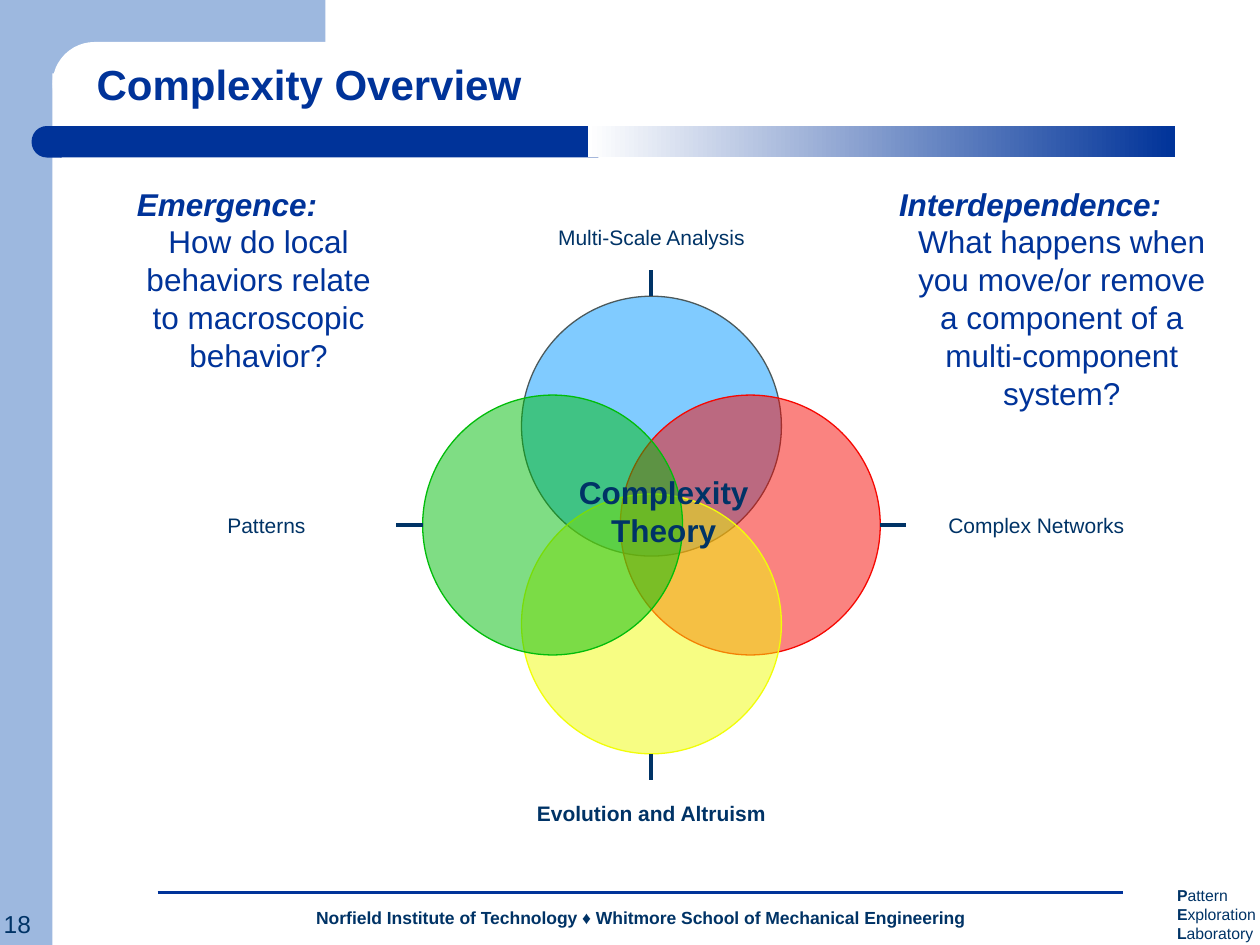
from lxml.etree import SubElement
from pptx import Presentation
from pptx.dml.color import RGBColor
from pptx.enum.shapes import MSO_CONNECTOR, MSO_SHAPE
from pptx.enum.text import MSO_ANCHOR, MSO_AUTO_SIZE, PP_ALIGN
from pptx.oxml.ns import qn
from pptx.util import Pt

PALE_BLUE = RGBColor(0x9D, 0xB8, 0xDF)
ROYAL = RGBColor(0x00, 0x33, 0x99)
NAVY = RGBColor(0x00, 0x33, 0x66)
WHITE = RGBColor(0xFF, 0xFF, 0xFF)
SKY = RGBColor(0x03, 0x99, 0xFF)
SLATE = RGBColor(0x4B, 0x59, 0x5B)
RED = RGBColor(0xF6, 0x08, 0x02)
YELLOW = RGBColor(0xF1, 0xFD, 0x09)
GREEN = RGBColor(0x01, 0xBD, 0x0A)

deck = Presentation()
deck.slide_width, deck.slide_height = Pt(720), Pt(540)
page = deck.slides.add_slide(deck.slide_layouts[5])


def add_text(bounds, text, size, color=NAVY, bold=False, align=PP_ALIGN.LEFT):
    """Add a wrapping text box with one paragraph and return the box."""
    box = page.shapes.add_textbox(*map(Pt, bounds))
    box.text_frame.word_wrap = True
    para = box.text_frame.paragraphs[0]
    para.text, para.alignment = text, align
    font = para.font
    font.name, font.size, font.bold = "Arial", Pt(size), bold
    font.color.rgb = color
    return box


def add_line(start, end, color):
    line = page.shapes.add_connector(MSO_CONNECTOR.STRAIGHT, *map(Pt, start + end))
    line.line.color.rgb, line.line.width = color, Pt(2.25)
    SubElement(line.element.spPr, qn("a:effectLst"))
    return line


# Frame and title bar
for kind, bounds, color in [
    (MSO_SHAPE.RECTANGLE, (0, 0, 30, 540), PALE_BLUE),
    (MSO_SHAPE.RECTANGLE, (24, 0, 162, 42), PALE_BLUE),
    (MSO_SHAPE.ROUNDED_RECTANGLE, (30, 24, 420, 48), WHITE),
    (MSO_SHAPE.RECTANGLE, (34.5, 72, 307.5, 18), ROYAL),
    (MSO_SHAPE.FLOWCHART_DELAY, (18, 72, 17.25, 18), ROYAL),
    (MSO_SHAPE.RECTANGLE, (336, 72, 335.5, 18), None),
]:
    part = page.shapes.add_shape(kind, *map(Pt, bounds))
    part.shadow.inherit = False
    part.line.fill.background()
    if kind == MSO_SHAPE.ROUNDED_RECTANGLE:
        part.adjustments[0] = 0.5
    if kind == MSO_SHAPE.FLOWCHART_DELAY:
        part.rotation = 180
    if color is not None:
        part.fill.solid()
        part.fill.fore_color.rgb = color
    else:
        part.fill.gradient()
        part.fill.gradient_angle = 0
        for stop, shade in zip(part.fill.gradient_stops, (WHITE, ROYAL)):
            stop.color.rgb = shade

# Title, in front of the frame
title = page.shapes.title
page.shapes.element.append(title.element)
title.left, title.top, title.width, title.height = map(Pt, (48, 24, 630, 42))
title.text = "Complexity Overview"
title.text_frame.auto_size = MSO_AUTO_SIZE.NONE
title.text_frame.vertical_anchor = MSO_ANCHOR.BOTTOM
heading = title.text_frame.paragraphs[0]
heading.alignment, heading.line_spacing = PP_ALIGN.LEFT, 0.9
heading.font.name, heading.font.size, heading.font.bold = "Arial", Pt(24), True
heading.font.color.rgb = ROYAL

# Footer
add_line((90, 510), (642, 510), ROYAL)
footer = add_text((66, 516, 600, 18),
                  "Norfield Institute of Technology ♦ Whitmore School of Mechanical Engineering",
                  10, bold=True, align=PP_ALIGN.CENTER)
footer.text_frame.paragraphs[0].line_spacing = 0.9
add_text((-5, 516, 35, 24.5), "18", 14)
lab = add_text((665.5, 502.5, 65, 40), "", 9)
for initial, rest in [("P", "attern "), ("E", "xploration "), ("L", "aboratory")]:
    for text, bold in [(initial, True), (rest, False)]:
        span = lab.text_frame.paragraphs[0].add_run()
        span.text, span.font.bold = text, bold

# Four overlapping circles around a centre, each with a spoke to its label
CENTER_X, CENTER_Y = 372.25, 300
DIAMETER, OFFSET, SPOKE = 148.5, 56.5, 15
LABEL_WIDTH, LABEL_HEIGHT = DIAMETER, 37.5
RIM = OFFSET + DIAMETER / 2
for label, dx, dy, fill, outline, bold, side in [
    ("Multi-Scale Analysis", 0, -1, SKY, SLATE, False, 2),
    ("Complex Networks", 1, 0, RED, RED, False, 1),
    ("Evolution and Altruism", 0, 1, YELLOW, YELLOW, True, 0),
    ("Patterns", -1, 0, GREEN, GREEN, False, 3),
]:
    circle = page.shapes.add_shape(
        MSO_SHAPE.OVAL,
        Pt(CENTER_X + dx * OFFSET - DIAMETER / 2),
        Pt(CENTER_Y + dy * OFFSET - DIAMETER / 2),
        Pt(DIAMETER), Pt(DIAMETER))
    circle.shadow.inherit = False
    circle.fill.solid()
    circle.fill.fore_color.rgb = fill
    tint = circle.element.spPr.find(qn("a:solidFill"))[0]
    SubElement(tint, qn("a:alpha")).set("val", "50000")
    circle.line.color.rgb, circle.line.width = outline, Pt(0.75)

    label_x = CENTER_X + dx * (RIM + SPOKE + LABEL_WIDTH / 2)
    label_y = CENTER_Y + dy * (RIM + SPOKE + LABEL_HEIGHT / 2)
    box = add_text((label_x - LABEL_WIDTH / 2, label_y - LABEL_HEIGHT / 2,
                    LABEL_WIDTH, LABEL_HEIGHT),
                   label, 12, bold=bold, align=PP_ALIGN.CENTER)
    frame = box.text_frame
    frame.margin_left = frame.margin_right = frame.margin_top = frame.margin_bottom = 0
    frame.vertical_anchor = MSO_ANCHOR.MIDDLE

    spoke = add_line((CENTER_X + dx * RIM, CENTER_Y + dy * RIM),
                     (CENTER_X + dx * (RIM + SPOKE), CENTER_Y + dy * (RIM + SPOKE)), NAVY)
    spoke.end_connect(box, side)

add_text((312, 267, 134.5, 50.5), "Complexity Theory", 18, bold=True, align=PP_ALIGN.CENTER)

# Guiding questions
for bounds, topic, question in [
    ((481.5, 102, 214.5, 137), "Interdependence:",
     "What happens when you move/or remove a component of a multi-component system?"),
    ((32.5, 102, 194.5, 148), "Emergence:",
     "How do local behaviors relate to macroscopic behavior?"),
]:
    box = add_text(bounds, topic, 18, ROYAL, True, PP_ALIGN.CENTER)
    box.text_frame.paragraphs[0].font.italic = True
    para = box.text_frame.add_paragraph()
    para.text, para.level, para.alignment = question, 1, PP_ALIGN.CENTER
    para.font.name, para.font.size = "Arial", Pt(18)
    para.font.color.rgb = ROYAL

deck.save("out.pptx")
